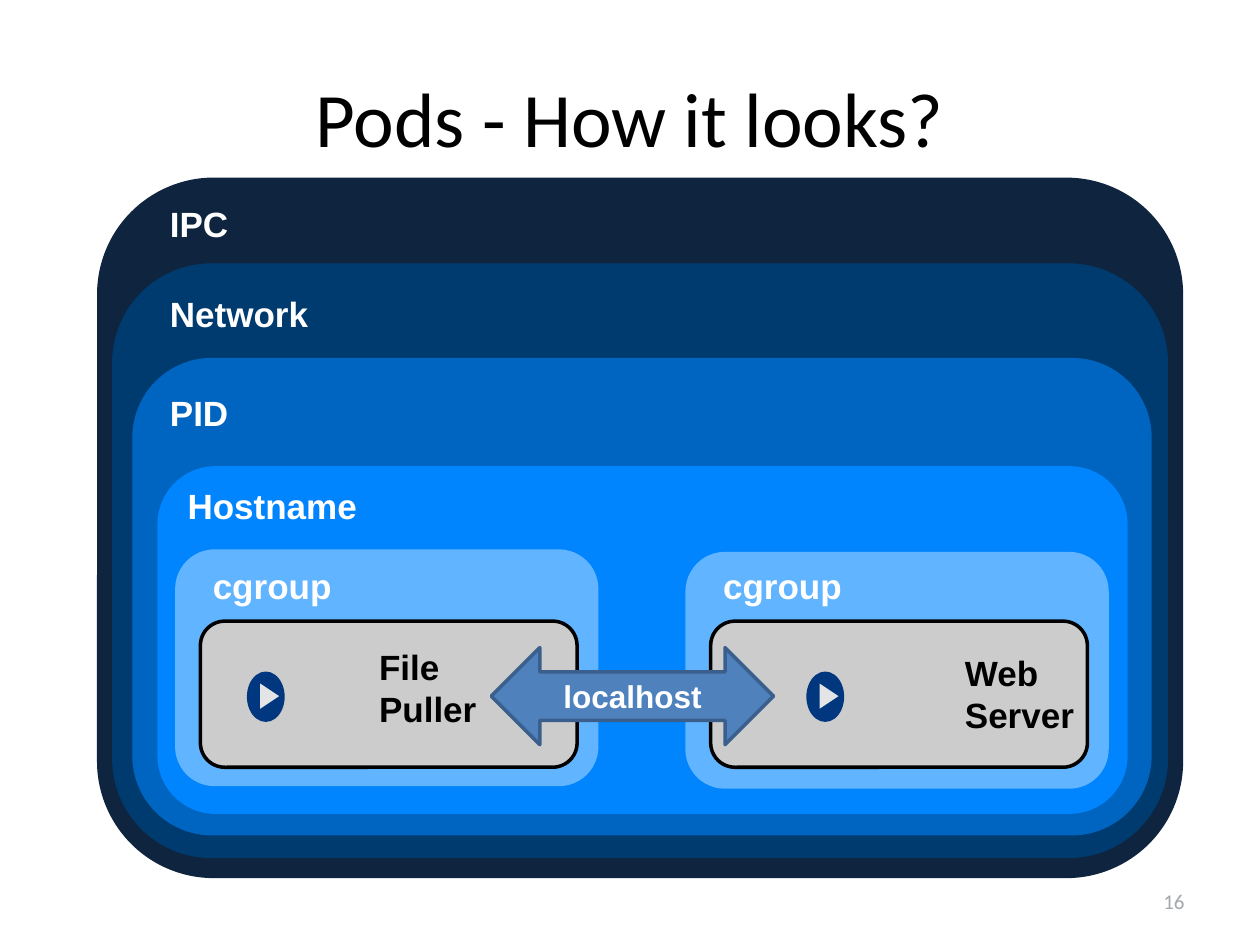
from pptx import Presentation
from pptx.dml.color import RGBColor
from pptx.enum.shapes import MSO_SHAPE
from pptx.enum.text import MSO_ANCHOR, PP_ALIGN
from pptx.util import Inches, Pt

COLORS = {
    "ipc": "0F243E",
    "network": "003B70",
    "pid": "0065C0",
    "hostname": "0085FE",
    "cgroup": "61B4FF",
    "container": "CCCCCC",
    "arrow": "4F81BD",
    "arrow_line": "3A5F8C",
    "icon": "00377E",
    "icon_mark": "E3E4E5",
    "page_number": "A5A8AA",
    "black": "000000",
    "white": "FFFFFF",
}

# Name, colour, box of the layer, left and top of its label, width of its label
NAMESPACES = [
    ("IPC", "ipc", (0.77, 1.41, 8.62, 5.56), (1.25, 1.56, 0.8)),
    ("Network", "network", (0.89, 2.09, 8.38, 4.72), (1.25, 2.27, 1.4)),
    ("PID", "pid", (1.05, 2.84, 8.09, 3.79), (1.25, 3.06, 0.99)),
    ("Hostname", "hostname", (1.25, 3.7, 7.7, 2.76), (1.39, 3.8, 1.64)),
]

# Left and top of the cgroup, container name with its box, left of the icon
CGROUPS = [
    (1.39, 4.36, "File Puller", (2.91, 5.07, 1.09, 0.77), 1.96),
    (5.44, 4.38, "Web Server", (7.56, 5.12, 1.23, 0.77), 6.4),
]


def color(name):
    return RGBColor.from_string(COLORS[name])


def write(shape, text, size, color_name, font="Arial", bold=True,
          align=PP_ALIGN.LEFT, anchor=MSO_ANCHOR.TOP):
    frame = shape.text_frame
    frame.text = text
    frame.word_wrap = True
    frame.vertical_anchor = anchor
    para = frame.paragraphs[0]
    para.alignment = align
    for span in para.runs:
        span.font.name = font
        span.font.size = Pt(size)
        span.font.bold = bold
        span.font.color.rgb = color(color_name)


def add_label(page, text, box, size=20, color_name="white", **style):
    label = page.shapes.add_textbox(*map(Inches, box))
    write(label, text, size, color_name, **style)


def add_block(page, kind, box, fill, line=None):
    block = page.shapes.add_shape(kind, *map(Inches, box))
    block.shadow.inherit = False
    block.fill.solid()
    block.fill.fore_color.rgb = color(fill)
    if line:
        block.line.color.rgb = color(line)
        block.line.width = Pt(2)
    else:
        block.line.fill.background()
    return block


def add_play_icon(page, left, top=5.33):
    add_block(page, MSO_SHAPE.OVAL, (left, top, 0.3, 0.4), "icon")
    mark = add_block(page, MSO_SHAPE.ISOSCELES_TRIANGLE,
                     (left + 0.08, top + 0.12, 0.2, 0.15), "icon_mark")
    mark.rotation = 90


def add_cgroup(page, left, top, name, name_box, icon_left):
    rounded = MSO_SHAPE.ROUNDED_RECTANGLE
    add_block(page, rounded, (left, top, 3.36, 1.88), "cgroup")
    add_block(page, rounded, (left + 0.2, 4.93, 2.99, 1.16), "container", "black")
    add_label(page, "cgroup", (left + 0.2, 4.43, 1.32, 0.44))
    add_label(page, name, name_box, color_name="black")
    add_play_icon(page, icon_left)


def add_title(page, text):
    title = page.shapes.title
    title.left, title.top, title.width, title.height = map(
        Inches, (0.5, 0.3, 9, 1.25))
    write(title, text, 44, "black", font="Calibri", bold=False,
          align=PP_ALIGN.CENTER, anchor=MSO_ANCHOR.MIDDLE)


def main():
    deck = Presentation()
    deck.slide_width, deck.slide_height = Inches(10), Inches(7.5)
    page = deck.slides.add_slide(deck.slide_layouts[5])

    # Title and page number
    add_title(page, "Pods - How it looks?")
    add_label(page, "16", (7.17, 6.95, 2.33, 0.4), 12, "page_number",
              font="Calibri", bold=False, align=PP_ALIGN.RIGHT,
              anchor=MSO_ANCHOR.MIDDLE)

    # Nested namespaces
    for name, fill, box, (left, top, width) in NAMESPACES:
        add_block(page, MSO_SHAPE.ROUNDED_RECTANGLE, box, fill)
        add_label(page, name, (left, top, width, 0.44))

    # Control groups with their containers
    for cgroup in CGROUPS:
        add_cgroup(page, *cgroup)

    # Link between the containers
    arrow = add_block(page, MSO_SHAPE.LEFT_RIGHT_ARROW,
                      (3.9, 5.14, 2.24, 0.77), "arrow", "arrow_line")
    write(arrow, "localhost", 18, "white", align=PP_ALIGN.CENTER,
          anchor=MSO_ANCHOR.MIDDLE)

    deck.save("out.pptx")


if __name__ == "__main__":
    main()
